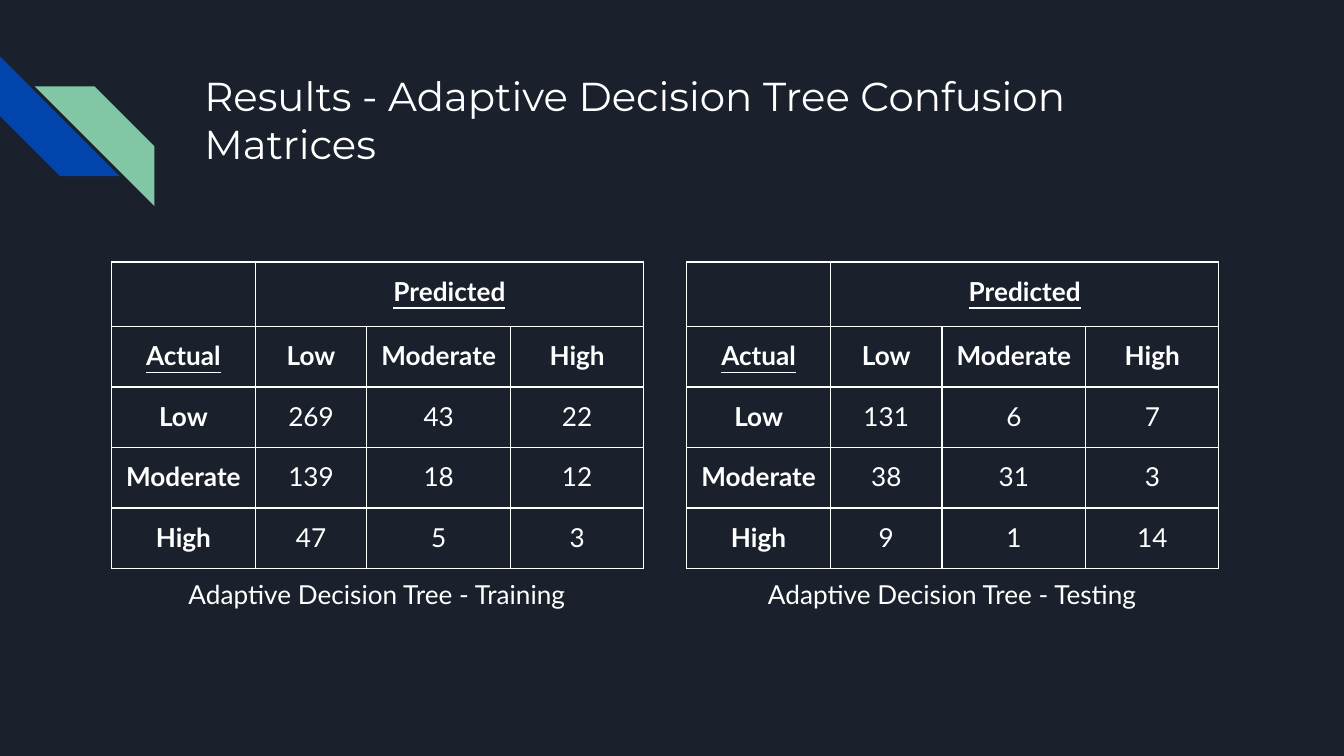
from lxml.etree import SubElement
from pptx import Presentation
from pptx.dml.color import RGBColor
from pptx.enum.shapes import MSO_SHAPE
from pptx.enum.text import MSO_ANCHOR, PP_ALIGN
from pptx.oxml.ns import qn
from pptx.util import Inches, Pt

NAVY = RGBColor(0x1B, 0x21, 0x2C)
BLUE = RGBColor(0x01, 0x45, 0xAC)
GREEN = RGBColor(0x82, 0xC7, 0xA5)
WHITE = RGBColor(0xFF, 0xFF, 0xFF)

SLIDE_WIDTH = 10
SLIDE_HEIGHT = SLIDE_WIDTH * 9 / 16
INSET = Inches(0.1)
COLUMN_WIDTHS = [1.07, 0.83, 1.07, 0.99]
HEADER_HEIGHT, ROW_HEIGHT = 0.48, 0.45
LEVELS = ["Low", "Moderate", "High"]

PANEL_LEFT, PANEL_TOP, PANEL_PITCH = 0.83, 1.95, 4.28
MATRICES = [
    ("Adaptive Decision Tree - Training",
     [[269, 43, 22], [139, 18, 12], [47, 5, 3]]),
    ("Adaptive Decision Tree - Testing",
     [[131, 6, 7], [38, 31, 3], [9, 1, 14]]),
]


def inches(*lengths):
    return [Inches(length) for length in lengths]


def style_text(paragraph, size, typeface, bold=False, underline=False):
    font = paragraph.font
    font.size, font.name = Pt(size), typeface
    font.bold, font.underline = bold, underline
    font.color.rgb = WHITE


def set_insets(owner):
    """Give a cell or a text frame the same margin on all four sides."""
    owner.margin_left = owner.margin_right = INSET
    owner.margin_top = owner.margin_bottom = INSET


def outline_cell(cell):
    properties = cell._tc.get_or_add_tcPr()
    for side in ("a:lnL", "a:lnR", "a:lnT", "a:lnB"):
        line = SubElement(properties, qn(side), w=str(Pt(0.75)))
        fill = SubElement(line, qn("a:solidFill"))
        SubElement(fill, qn("a:srgbClr"), val=str(WHITE))


def add_title(slide, text, left, top, width, height):
    title = slide.shapes.title
    title.left, title.top, title.width, title.height = inches(left, top, width, height)
    frame = title.text_frame
    frame.text = text
    frame.word_wrap = True
    frame.vertical_anchor = MSO_ANCHOR.TOP
    set_insets(frame)
    paragraph = frame.paragraphs[0]
    paragraph.alignment = PP_ALIGN.LEFT
    style_text(paragraph, 21.6, "Montserrat")


def add_stripes(slide, left, top, size):
    """Place the two interlocking corner stripes, the green one offset by a quarter."""
    def add_stripe(x, y, color):
        stripe = slide.shapes.add_shape(
            MSO_SHAPE.DIAGONAL_STRIPE, *inches(x, y, size, size))
        stripe.shadow.inherit = False
        stripe.fill.solid()
        stripe.fill.fore_color.rgb = color
        stripe.line.fill.background()
        return stripe

    add_stripe(left, top, BLUE).rotation = 270
    green = add_stripe(left + size * 0.29, top + size / 4, GREEN)
    green.element.spPr.find(qn("a:xfrm")).set("flipH", "1")


def add_matrix(slide, counts, left, top):
    rows = [["", "Predicted", "", ""], ["Actual", *LEVELS]]
    rows += [[level, *map(str, line)] for level, line in zip(LEVELS, counts)]
    heights = [HEADER_HEIGHT] + [ROW_HEIGHT] * (len(rows) - 1)

    table = slide.shapes.add_table(
        len(rows), len(COLUMN_WIDTHS),
        *inches(left, top, sum(COLUMN_WIDTHS), sum(heights))).table
    table.first_row = table.horz_banding = False
    for column, width in zip(table.columns, COLUMN_WIDTHS):
        column.width = Inches(width)
    for row, height in zip(table.rows, heights):
        row.height = Inches(height)
    table.cell(0, 1).merge(table.cell(0, 3))

    for r, row in enumerate(rows):
        for c, text in enumerate(row):
            cell = table.cell(r, c)
            outline_cell(cell)
            cell.fill.background()
            if text:
                cell.text = text
                set_insets(cell)
                paragraph = cell.text_frame.paragraphs[0]
                paragraph.alignment = PP_ALIGN.CENTER
                style_text(paragraph, 14, "Lato", bold=r < 2 or c == 0,
                           underline=text in ("Predicted", "Actual"))


def add_caption(slide, text, left, top, width, height):
    frame = slide.shapes.add_textbox(*inches(left, top, width, height)).text_frame
    frame.word_wrap = True
    set_insets(frame)
    paragraph = frame.paragraphs[0]
    paragraph.text = text
    paragraph.alignment = PP_ALIGN.CENTER
    style_text(paragraph, 14, "Lato")


def add_panel(slide, caption, counts, left, top):
    """Place one confusion matrix with its caption below."""
    add_matrix(slide, counts, left, top)
    add_caption(slide, caption, left + 0.01, top + ROW_HEIGHT * 5,
                sum(COLUMN_WIDTHS) - 0.03, 0.62)


def main():
    deck = Presentation()
    deck.slide_width, deck.slide_height = inches(SLIDE_WIDTH, SLIDE_HEIGHT)
    slide = deck.slides.add_slide(deck.slide_layouts.get_by_name("Title Only"))
    slide.background.fill.solid()
    slide.background.fill.fore_color.rgb = NAVY

    add_stripes(slide, 0, 0.42, 0.89)
    add_title(slide, "Results - Adaptive Decision Tree Confusion Matrices",
              1.42, 0.43, 7.7, 1)
    for index, (caption, counts) in enumerate(MATRICES):
        add_panel(slide, caption, counts, PANEL_LEFT + index * PANEL_PITCH, PANEL_TOP)

    deck.save("out.pptx")


if __name__ == "__main__":
    main()
